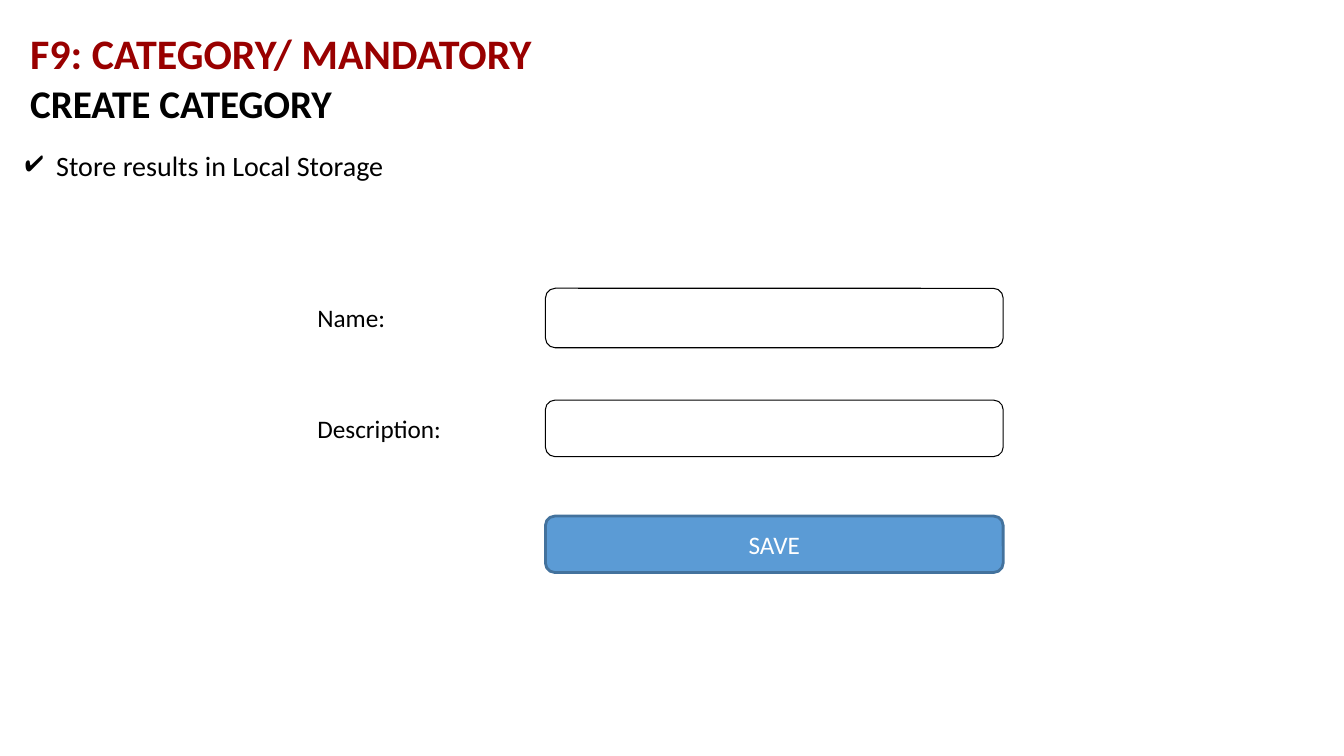
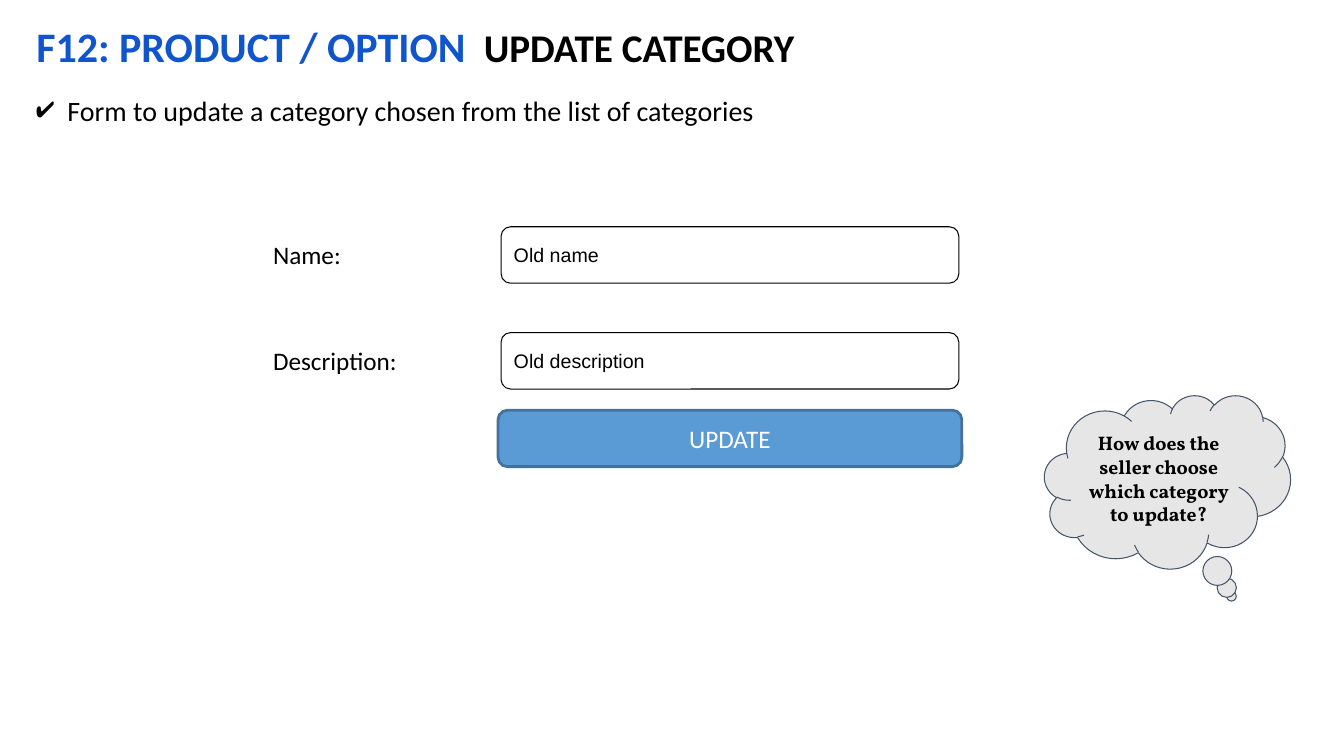
from lxml import etree
from pptx import Presentation
from pptx.dml.color import RGBColor
from pptx.enum.shapes import MSO_SHAPE
from pptx.enum.text import MSO_ANCHOR, MSO_AUTO_SIZE, PP_ALIGN
from pptx.oxml.ns import qn
from pptx.util import Inches, Pt

ROUNDED, CLOUD = MSO_SHAPE.ROUNDED_RECTANGLE, MSO_SHAPE.CLOUD_CALLOUT
TOP, MIDDLE = MSO_ANCHOR.TOP, MSO_ANCHOR.MIDDLE
LEFT, CENTER = PP_ALIGN.LEFT, PP_ALIGN.CENTER
FIXED_SIZE = MSO_AUTO_SIZE.NONE

BLACK = RGBColor(0x00, 0x00, 0x00)
WHITE = RGBColor(0xFF, 0xFF, 0xFF)
RED = RGBColor(0x99, 0x00, 0x00)
BLUE = RGBColor(0x11, 0x55, 0xCC)
BUTTON_BLUE = RGBColor(0x5B, 0x9B, 0xD5)
BUTTON_EDGE = RGBColor(0x43, 0x72, 0x9D)
CLOUD_GREY = RGBColor(0xE7, 0xE6, 0xE6)
CLOUD_EDGE = RGBColor(0x44, 0x54, 0x6A)

TITLE = dict(name="Calibri", size=Pt(30), bold=True)
SUBTITLE = dict(name="Calibri", size=Pt(28), bold=True)
POINT = dict(name="Calibri", size=Pt(20))
LABEL = dict(name="Calibri", size=Pt(18))
VALUE = dict(name="Arial", size=Pt(14))
QUESTION = dict(name="Vollkorn", size=Pt(14), bold=True)

FIELD_WIDTH = 4.54
LABEL_OFFSET, LABEL_WIDTH, LABEL_HEIGHT = 2.36, 2.22, 0.4
BULLET_INDENT = Inches(0.31)

SLIDES = [
    dict(
        title=("F9: CATEGORY/ MANDATORY", RED, (0.2, 0.22, 5.43, 0.6)),
        subtitle=("CREATE CATEGORY", (0.2, 0.74, 4.87, 0.57)),
        point=("Store results in Local Storage", (0.15, 1.42, 5.8, 0.44)),
        field_left=5.41,
        fields=[("Name:", "", 2.86, 0.59), ("Description:", "", 3.97, 0.56)],
        button=("SAVE", (5.41, 5.12, 4.54, 0.56)),
    ),
    dict(
        title=("F12: PRODUCT / OPTION", BLUE, (0.26, 0.15, 4.6, 0.6)),
        subtitle=("UPDATE CATEGORY", (4.7, 0.18, 4.14, 0.57)),
        point=("Form to update a category chosen from the list of categories",
               (0.26, 0.88, 7.81, 0.81)),
        field_left=4.97,
        fields=[("Name:", "Old name", 2.25, 0.56),
                ("Description:", "Old description", 3.3, 0.56)],
        button=("UPDATE", (4.94, 4.07, 4.6, 0.56)),
        question=("How does the seller choose which category to update?",
                  (10.36, 3.92, 2.44, 1.72), (0.26, 0.66)),
    ),
]


def write(holder, text, font, color=BLACK, align=LEFT, anchor=TOP, inset=0.05):
    frame = holder.text_frame
    margins = dict(margin_left=Inches(0.1), margin_right=Inches(0.1),
                   margin_top=Inches(inset), margin_bottom=Inches(inset))
    settings = dict(margins, word_wrap=True, auto_size=FIXED_SIZE, vertical_anchor=anchor)
    for key, value in settings.items():
        setattr(frame, key, value)
    paragraph = frame.paragraphs[0]
    paragraph.alignment = align
    paragraph.line_spacing = 1.0
    if text:
        run = paragraph.add_run()
        run.text = text
        for key, value in font.items():
            setattr(run.font, key, value)
        run.font.color.rgb = color
    return paragraph


def add_label(slide, box, text, font):
    return write(slide.shapes.add_textbox(*map(Inches, box)), text, font)


def add_panel(slide, kind, box, fill, edge, edge_width):
    panel = slide.shapes.add_shape(kind, *map(Inches, box))
    panel.shadow.inherit = False
    panel.fill.solid()
    panel.fill.fore_color.rgb = fill
    panel.line.color.rgb = edge
    panel.line.width = Pt(edge_width)
    return panel


def add_title(slide, text, color, box):
    title = slide.shapes.title
    for key, value in zip(("left", "top", "width", "height"), box):
        setattr(title, key, Inches(value))
    write(title, text, TITLE, color)


def add_point(slide, text, box):
    properties = add_label(slide, box, text, POINT)._p.get_or_add_pPr()
    properties.set("marL", str(BULLET_INDENT))
    properties.set("indent", str(-BULLET_INDENT))
    etree.SubElement(properties, qn("a:buChar")).set("char", "✔")


def add_field(slide, left, label, value, top, height):
    label_top = top + (height - LABEL_HEIGHT) / 2
    add_label(slide, (left - LABEL_OFFSET, label_top, LABEL_WIDTH, LABEL_HEIGHT), label, LABEL)
    field = add_panel(slide, ROUNDED, (left, top, FIELD_WIDTH, height), WHITE, BLACK, 0.75)
    write(field, value, VALUE, anchor=MIDDLE, inset=0.1)


def add_button(slide, text, box):
    button = add_panel(slide, ROUNDED, box, BUTTON_BLUE, BUTTON_EDGE, 2)
    write(button, text, LABEL, WHITE, CENTER, MIDDLE)


def add_question(slide, text, box, tail):
    cloud = add_panel(slide, CLOUD, box, CLOUD_GREY, CLOUD_EDGE, 0.75)
    for index, share in enumerate(tail):
        cloud.adjustments[index] = share
    write(cloud, text, QUESTION, align=CENTER, inset=0.1)


def main():
    deck = Presentation()
    deck.slide_width, deck.slide_height = Inches(13.33), Inches(7.5)
    title_only = deck.slide_layouts[5]
    for content in SLIDES:
        slide = deck.slides.add_slide(title_only)
        add_title(slide, *content["title"])
        subtitle, subtitle_box = content["subtitle"]
        add_label(slide, subtitle_box, subtitle, SUBTITLE)
        add_point(slide, *content["point"])
        for field in content["fields"]:
            add_field(slide, content["field_left"], *field)
        add_button(slide, *content["button"])
        if "question" in content:
            add_question(slide, *content["question"])
    deck.save("out.pptx")


if __name__ == "__main__":
    main()
